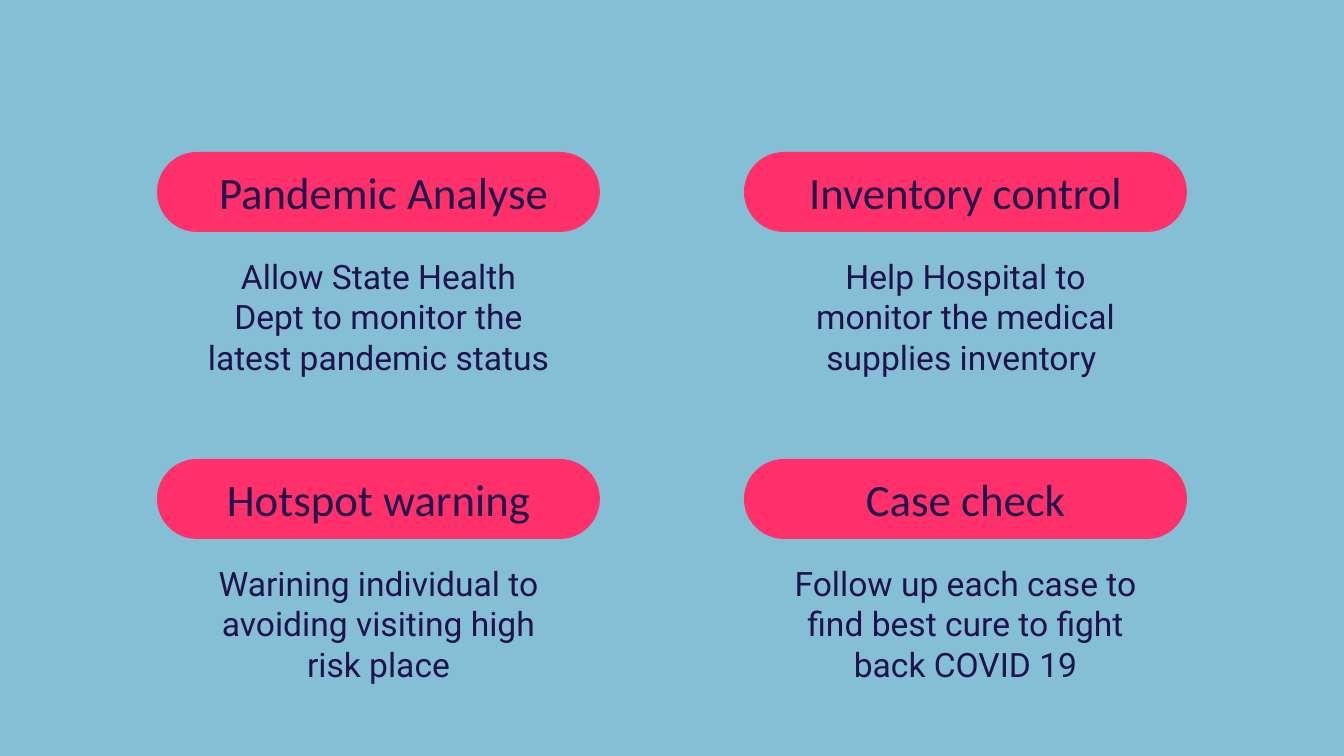
from pptx import Presentation, util as u
from pptx.dml.color import RGBColor
from pptx.enum import shapes, text

CARDS = [
    [(" Pandemic Analyse",
      "Allow State Health Dept to monitor the latest pandemic status"),
     ("Inventory control",
      "Help Hospital to monitor the medical supplies inventory ")],
    [("Hotspot warning",
      "Warining individual to avoiding visiting high risk place"),
     ("Case check",
      "Follow up each case to find best cure to fight back COVID 19")],
]
SKY, PINK, NAVY = "85BFD5", "FF306A", "20124D"
WIDE, HIGH = 1344, 756
LEFT, TOP = 157, 152
STEP_X, STEP_Y = 587, 307
PILL_W, PILL_H = 443, 80
HEAD_W, HEAD_H = 391, 64
BODY_W, BODY_H, BODY_DROP = 370, 86, 91
INSET = 13


def px(n):
    """Turn picture pixels into EMU."""
    return u.Emu(round(n * 914400 / 134.4))


def paint(fill, hue):
    """Give a fill one solid colour."""
    fill.solid()
    fill.fore_color.rgb = RGBColor.from_string(hue)


def add_pill(x, y):
    """Draw the rounded bar behind a heading."""
    pill = slide.shapes.add_shape(shapes.MSO_SHAPE.ROUNDED_RECTANGLE,
                                  px(x), px(y), px(PILL_W), px(PILL_H))
    pill.adjustments[0] = 0.5
    pill.shadow.inherit = False
    paint(pill.fill, PINK)
    pill.line.fill.background()


def add_text(words, mid, y, w, h, font, size, anchor):
    """Write centred text in a box whose middle is at mid."""
    box = slide.shapes.add_textbox(px(mid - w / 2), px(y), px(w), px(h))
    frame = box.text_frame
    frame.word_wrap = True
    frame.vertical_anchor = anchor
    frame.margin_left = frame.margin_right = px(INSET)
    frame.margin_top = frame.margin_bottom = px(INSET)
    para = frame.paragraphs[0]
    para.alignment = text.PP_ALIGN.CENTER
    run = para.add_run()
    run.text = words
    run.font.name = font
    run.font.size = u.Pt(size)
    paint(run.font.fill, NAVY)


deck = Presentation()
deck.slide_width, deck.slide_height = px(WIDE), px(HIGH)
slide = deck.slides.add_slide(deck.slide_layouts[6])
paint(slide.background.fill, SKY)

for row, cards in enumerate(CARDS):
    for col, (head, body) in enumerate(cards):
        x, y = LEFT + col * STEP_X, TOP + row * STEP_Y
        mid = x + PILL_W / 2
        add_pill(x, y)
        add_text(head, mid, y + (PILL_H - HEAD_H) / 2, HEAD_W, HEAD_H,
                 "Calibri", 24, text.MSO_ANCHOR.MIDDLE)
        add_text(body, mid, y + BODY_DROP, BODY_W, BODY_H,
                 "Roboto", 18, text.MSO_ANCHOR.TOP)

deck.save("out.pptx")
